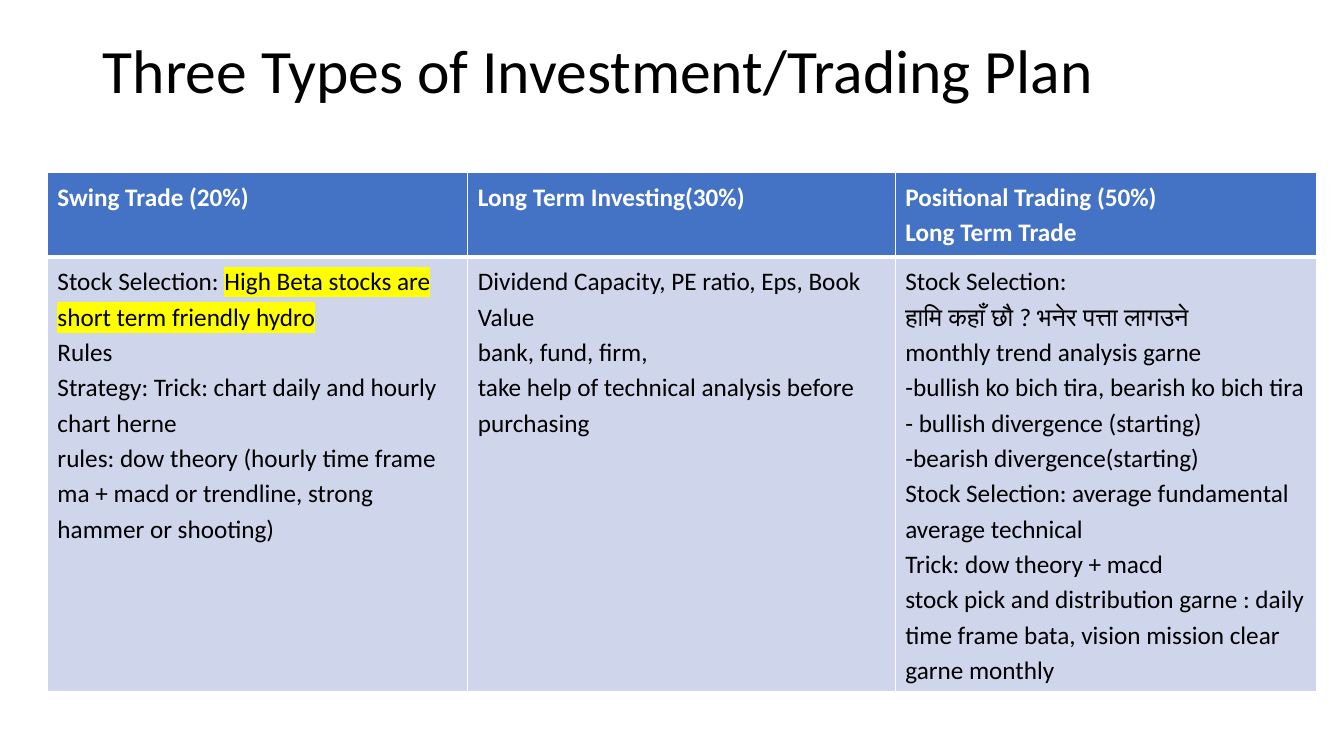
from dataclasses import dataclass

from lxml import etree
from pptx import Presentation
from pptx.dml.color import RGBColor
from pptx.enum.text import MSO_ANCHOR, PP_ALIGN
from pptx.oxml.ns import qn
from pptx.util import Inches, Pt

LEFT = PP_ALIGN.LEFT
MIDDLE = MSO_ANCHOR.MIDDLE
TITLE_ONLY = 5


@dataclass(frozen=True)
class Theme:
    font: str = "Calibri"
    ink: str = "000000"
    white: str = "FFFFFF"
    header: str = "4472C4"
    body: str = "CFD5EA"
    marker: str = "FFFF00"
    title_size: float = 44
    table_size: float = 18
    thin: float = 0.75
    thick: float = 3


THEME = Theme()

COLUMN_WIDTHS = (4.17, 4.24, 4.18)
ROW_HEIGHTS = (0.84, 4.3)

HEADINGS = (
    ["Swing Trade (20%)"],
    ["Long Term Investing(30%)"],
    ["Positional Trading (50%)", "Long Term Trade"],
)
PLANS = (
    [
        ("Stock Selection: ", "High Beta stocks are short term friendly hydro"),
        "Rules",
        "Strategy: Trick: chart daily and hourly chart herne",
        "rules: dow theory (hourly time frame ma + macd or trendline, "
        "strong hammer or shooting)",
    ],
    [
        "Dividend Capacity, PE ratio, Eps, Book Value",
        "bank, fund, firm,",
        "take help of technical analysis before purchasing",
    ],
    [
        "Stock Selection:",
        "हामि कहाँ छौ ? भनेर पत्ता लागउने",
        "monthly trend analysis garne",
        "-bullish ko bich tira, bearish ko bich tira",
        "- bullish divergence (starting)",
        "-bearish divergence(starting)",
        "Stock Selection: average fundamental average technical",
        "Trick: dow theory + macd",
        "stock pick and distribution garne : daily time frame bata, "
        "vision mission clear garne monthly",
    ],
)


def add_run(paragraph, text, size, color, bold=False, highlight=None):
    run = paragraph.add_run()
    run.text = text
    run.font.size = Pt(size)
    run.font.bold = bold
    run.font.color.rgb = RGBColor.from_string(color)
    if highlight:
        marker = etree.SubElement(run.font._element, qn("a:highlight"))
        etree.SubElement(marker, qn("a:srgbClr"), val=highlight)
    run.font.name = THEME.font


def set_borders(cell, top, bottom):
    widths = {"L": THEME.thin, "R": THEME.thin, "T": top, "B": bottom}
    properties = cell._tc.get_or_add_tcPr()
    for index, (side, width) in enumerate(widths.items()):
        line = etree.Element(qn(f"a:ln{side}"), w=str(Pt(width)))
        fill = etree.SubElement(line, qn("a:solidFill"))
        etree.SubElement(fill, qn("a:srgbClr"), val=THEME.white)
        properties.insert(index, line)


def fill_cell(cell, lines, background, color, bold, top, bottom):
    cell.fill.solid()
    cell.fill.fore_color.rgb = RGBColor.from_string(background)
    set_borders(cell, top, bottom)
    frame = cell.text_frame
    for index, line in enumerate(lines):
        paragraph = frame.add_paragraph() if index else frame.paragraphs[0]
        paragraph.line_spacing = 1.15
        plain, marked = (line, None) if isinstance(line, str) else line
        add_run(paragraph, plain, THEME.table_size, color, bold)
        if marked:
            add_run(paragraph, marked, THEME.table_size, color, bold, THEME.marker)


def add_title(slide, text):
    title = slide.shapes.title
    title.left, title.top = Inches(0.92), Inches(0)
    title.width, title.height = Inches(11.5), Inches(1.45)
    frame = title.text_frame
    frame.word_wrap = True
    frame.vertical_anchor = MIDDLE
    heading = frame.paragraphs[0]
    heading.alignment = LEFT
    heading.line_spacing = 0.9
    add_run(heading, text, THEME.title_size, THEME.ink)


def add_plan_table(slide):
    plan_table = slide.shapes.add_table(
        len(ROW_HEIGHTS), len(COLUMN_WIDTHS), Inches(0.47), Inches(1.71),
        Inches(sum(COLUMN_WIDTHS)), Inches(sum(ROW_HEIGHTS)),
    ).table
    for row, height in zip(plan_table.rows, ROW_HEIGHTS):
        row.height = Inches(height)
    for index, width in enumerate(COLUMN_WIDTHS):
        plan_table.columns[index].width = Inches(width)
        fill_cell(plan_table.cell(0, index), HEADINGS[index], THEME.header,
                  THEME.white, True, THEME.thin, THEME.thick)
        fill_cell(plan_table.cell(1, index), PLANS[index], THEME.body,
                  THEME.ink, False, THEME.thick, THEME.thin)


def main():
    deck = Presentation()
    deck.slide_width, deck.slide_height = Inches(13.33), Inches(7.5)
    slide = deck.slides.add_slide(deck.slide_layouts[TITLE_ONLY])
    add_title(slide, "Three Types of Investment/Trading Plan")
    add_plan_table(slide)
    deck.save("out.pptx")


if __name__ == "__main__":
    main()
